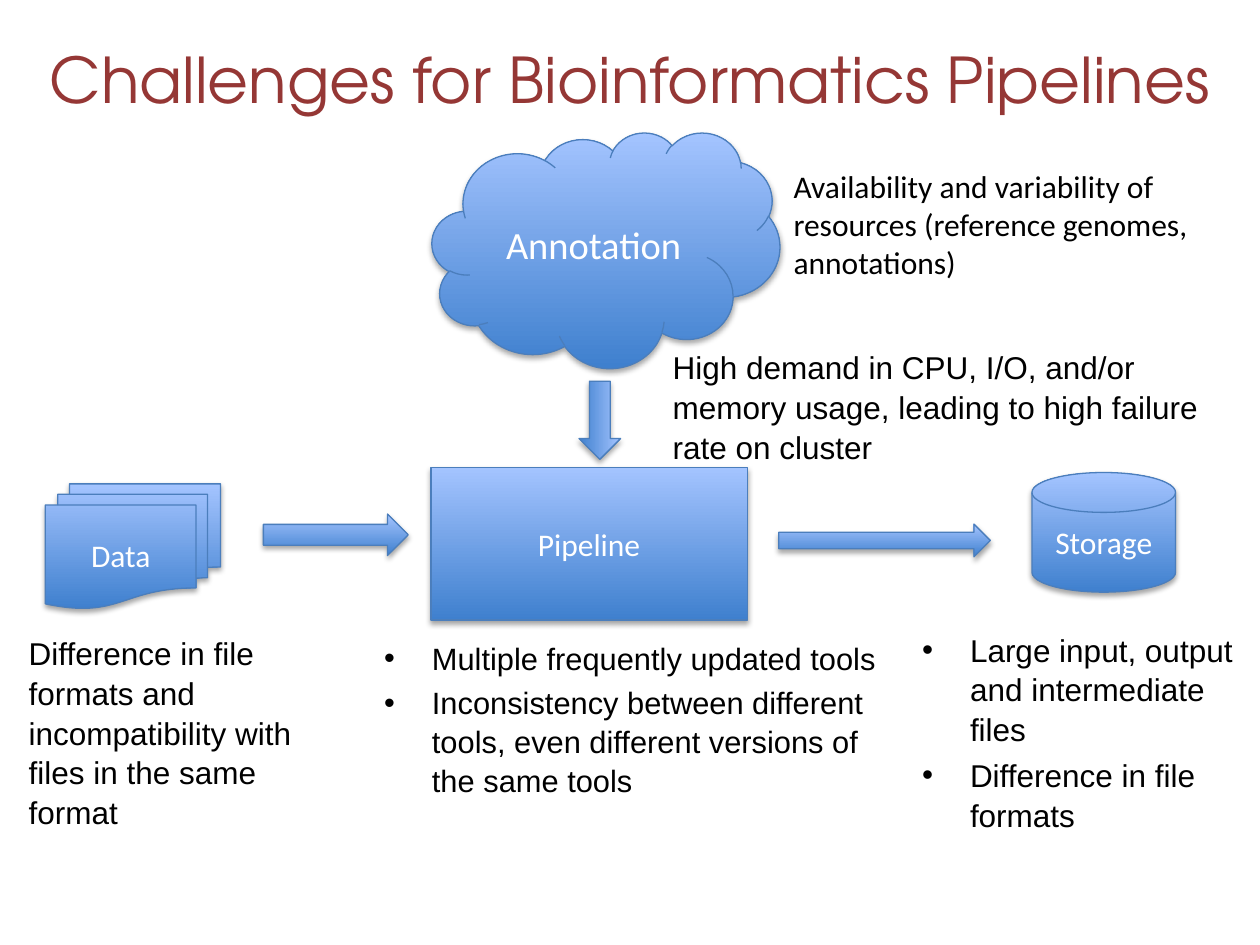
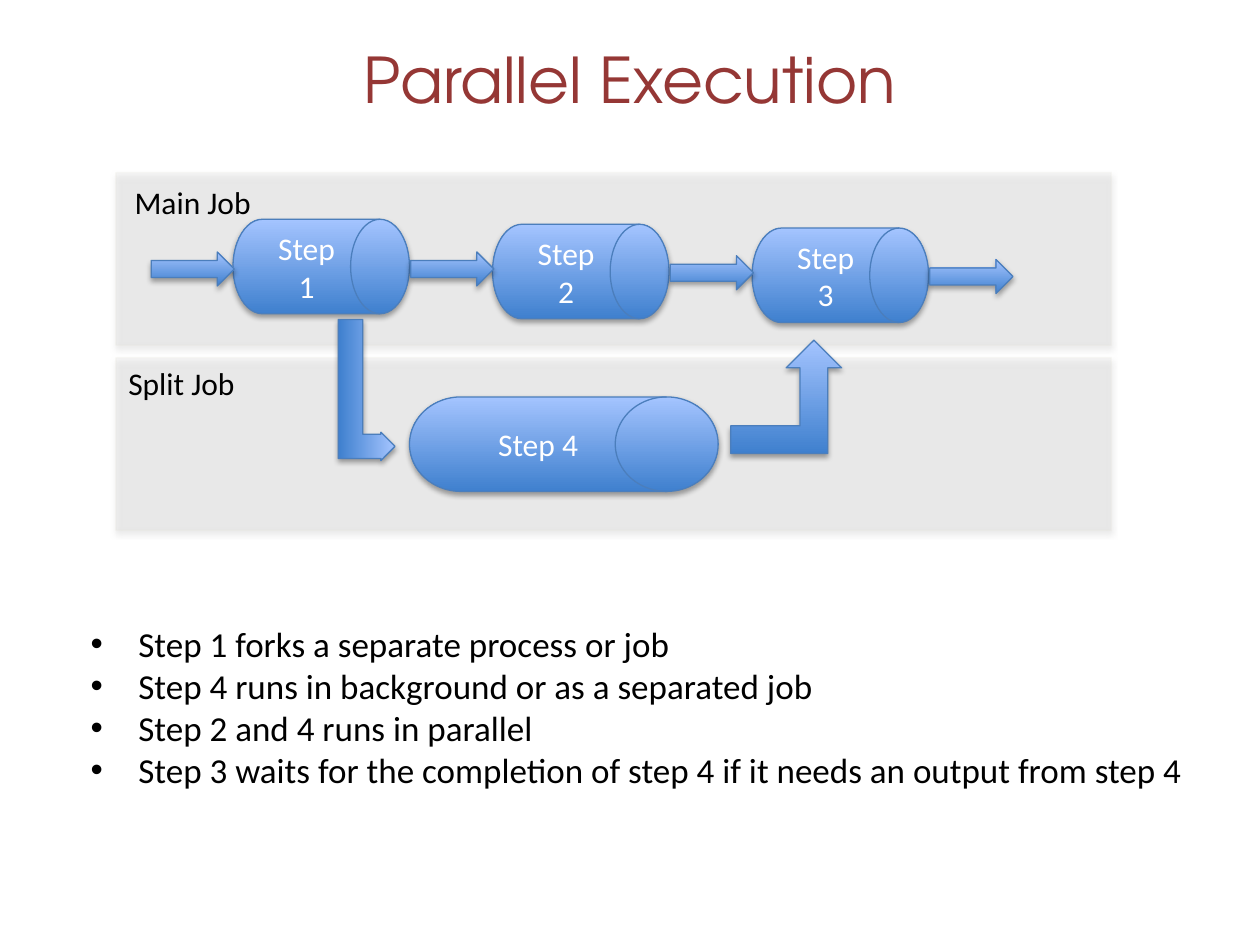
from lxml import etree
from pptx import Presentation
from pptx.dml.color import RGBColor
from pptx.enum.shapes import MSO_SHAPE
from pptx.enum.text import MSO_ANCHOR, PP_ALIGN
from pptx.oxml.ns import qn
from pptx.util import Inches, Pt

RIGHT_ARROW = MSO_SHAPE.RIGHT_ARROW
BENT_ARROW = MSO_SHAPE.BENT_UP_ARROW
DRUM = MSO_SHAPE.FLOWCHART_DIRECT_ACCESS_STORAGE
DISK = MSO_SHAPE.FLOWCHART_MAGNETIC_DISK
DOCUMENTS = MSO_SHAPE.FLOWCHART_MULTIDOCUMENT
PROCESS = MSO_SHAPE.FLOWCHART_PROCESS
CLOUD = MSO_SHAPE.CLOUD
RECTANGLE = MSO_SHAPE.RECTANGLE
MIDDLE = MSO_ANCHOR.MIDDLE
TOP = MSO_ANCHOR.TOP
LEFT = PP_ALIGN.LEFT
CENTER = PP_ALIGN.CENTER

TITLE_RED = RGBColor(0x95, 0x37, 0x35)
DARK_BLUE = RGBColor(0x3F, 0x80, 0xCE)
LIGHT_BLUE = RGBColor(0xA4, 0xC4, 0xFF)
EDGE_BLUE = RGBColor(0x4B, 0x7E, 0xBC)
LANE_GREY = RGBColor(0xD9, 0xD9, 0xD9)
LANE_EDGE = RGBColor(0xDD, 0xD9, 0xC3)
BLACK = RGBColor(0, 0, 0)
WHITE = RGBColor(0xFF, 0xFF, 0xFF)

TITLE_FONT = "TeX Gyre Adventor"
SANS = "Arial"
BODY = "Calibri"

# Places are (left, top, width, height) in inches.
CHALLENGES_TITLE = "Challenges for Bioinformatics Pipelines"
STAGES = [
    (DOCUMENTS, (0.36, 3.84, 1.39, 0.99), "Data", 18),
    (PROCESS, (3.42, 3.71, 2.51, 1.21), "Pipeline", 18),
    (CLOUD, (3.43, 1.05, 2.76, 1.87), "Annotation", 22),
    (DISK, (8.19, 3.75, 1.14, 0.95), "Storage", 18),
]
STAGE_ARROWS = [
    ((4.45, 3.17, 0.62, 0.33), 90),
    ((2.09, 4.08, 1.15, 0.33), 0),
    ((6.18, 4.16, 1.68, 0.26), 0),
]
# place, paragraphs, font, size, bulleted, space before in points
CHALLENGES = [
    ((5.24, 2.7, 4.78, 1.08),
     ["High demand in CPU, I/O, and/or memory usage, leading to high failure "
      "rate on cluster"], SANS, 18, False, 3.6),
    ((2.95, 5.01, 4.27, 1.14),
     ["Multiple frequently updated tools",
      "Inconsistency between different tools, even different versions of the "
      "same tools"], SANS, 17.6, True, 3.5),
    ((6.2, 1.28, 3.74, 1.01),
     ["Availability and variability of resources (reference genomes, "
      "annotations)"], BODY, 18, False, 0),
    ((0.13, 4.97, 2.66, 1.62),
     ["Difference in file formats and incompatibility with files in the same "
      "format"], SANS, 18, False, 0),
    ((7.22, 4.94, 2.78, 1.08),
     ["Large input, output and intermediate files",
      "Difference in file formats"], SANS, 18, True, 3.6),
]

PARALLEL_TITLE = "Parallel Execution"
LANE_TOPS = [1.37, 2.84]
LANE_LABELS = [("Main Job", 0.97, 1.4), ("Split Job", 0.92, 2.84)]
MAIN_STEPS = [("Step 1", 1.74), ("Step 2", 1.78), ("Step 3", 1.81)]
MAIN_ARROW_TOPS = [2, 2, 2.03, 2.06]
STEP_PITCH = 2.06
SPLIT_STEP = ("Step 4", (3.25, 3.15, 2.45, 0.75))
NOTES = [
    "Step 1 forks a separate process or job",
    "Step 4 runs in background or as a separated job",
    "Step 2 and 4 runs in parallel",
    "Step 3 waits for the completion of step 4 if it needs an output from step 4",
]


def inches(place):
    return [Inches(length) for length in place]


def add_child(parent, tag, **attributes):
    child = etree.SubElement(parent, qn(tag))
    for name, value in attributes.items():
        child.set(name, str(value))
    return child


def write(shape, lines, font, size, color, align=LEFT, anchor=TOP,
          bulleted=False, space_before=0):
    frame = shape.text_frame
    frame.word_wrap = True
    frame.vertical_anchor = anchor
    frame.text = "\n".join(lines)
    for para in frame.paragraphs:
        para.alignment = align
        para.space_before = Pt(space_before)
        if font == SANS:
            para.line_spacing = 1.05
        if bulleted:
            properties = para._p.get_or_add_pPr()
            properties.set("marL", str(Inches(0.38)))
            properties.set("indent", str(-Inches(0.38)))
            add_child(properties, "a:buFont", typeface=SANS)
            add_child(properties, "a:buChar", char="•")
        for span in para.runs:
            span.font.name = font
            span.font.size = Pt(size)
            span.font.color.rgb = color


def add_text(page, place, lines, font, size, color=BLACK, **layout):
    box = page.shapes.add_textbox(*inches(place))
    write(box, lines, font, size, color, **layout)


def add_shadowed(page, kind, place, edge):
    """Add a preset shape with a thin edge and a soft shadow below it."""
    shape = page.shapes.add_shape(kind, *inches(place))
    shape.line.color.rgb = edge
    shape.line.width = Pt(0.75)
    shape.shadow.inherit = False
    effects = shape._element.spPr.find(qn("a:effectLst"))
    shadow = add_child(effects, "a:outerShdw", blurRad=Pt(3.1), dist=Pt(1.8),
                       dir=5400000, rotWithShape=0)
    black = add_child(shadow, "a:srgbClr", val="000000")
    add_child(black, "a:alpha", val=35000)
    return shape


def add_blue(page, kind, place, text="", size=18, rotation=0):
    shape = add_shadowed(page, kind, place, EDGE_BLUE)
    shape.rotation = rotation
    shape.fill.gradient()
    shape.fill.gradient_angle = 90
    for stop, color in zip(shape.fill.gradient_stops, (DARK_BLUE, LIGHT_BLUE)):
        stop.color.rgb = color
    if text:
        write(shape, [text], BODY, size, WHITE, align=CENTER, anchor=MIDDLE)
    return shape


def add_lane(page, top):
    lane = add_shadowed(page, RECTANGLE, (0.92, top, 7.9, 1.37), LANE_EDGE)
    lane.fill.solid()
    lane.fill.fore_color.rgb = LANE_GREY
    properties = lane._element.spPr
    for holder, alpha in ((properties, 21000), (properties.ln, 11000)):
        color = holder.find(qn("a:solidFill")).find(qn("a:srgbClr"))
        add_child(color, "a:alpha", val=alpha)


def add_title(page, title):
    add_text(page, (0, 0, 10, 1.25), [title], TITLE_FONT, 36, TITLE_RED,
             align=CENTER, anchor=MIDDLE)


def build_challenges(page):
    add_title(page, CHALLENGES_TITLE)
    for kind, place, label, size in STAGES:
        add_blue(page, kind, place, label, size)
    for place, rotation in STAGE_ARROWS:
        add_blue(page, RIGHT_ARROW, place, rotation=rotation)
    for place, lines, font, size, bulleted, space in CHALLENGES:
        add_text(page, place, lines, font, size, bulleted=bulleted,
                 space_before=space)


def build_parallel(page):
    for top in LANE_TOPS:
        add_lane(page, top)
    add_title(page, PARALLEL_TITLE)
    for index, (label, top) in enumerate(MAIN_STEPS):
        add_blue(page, DRUM, (1.85 + index * STEP_PITCH, top, 1.4, 0.75), label)
    for index, top in enumerate(MAIN_ARROW_TOPS):
        add_blue(page, RIGHT_ARROW,
                 (1.2 + index * STEP_PITCH, top, 0.66, 0.27))
    label, place = SPLIT_STEP
    add_blue(page, DRUM, place, label)
    fork = add_blue(page, BENT_ARROW, (2.35, 2.87, 1.12, 0.45), rotation=90)
    fork.adjustments[0] = 0.43
    add_blue(page, BENT_ARROW, (5.8, 2.7, 0.88, 0.9))
    for label, left, top in LANE_LABELS:
        add_text(page, (left, top, 1.2, 0.4), [label], BODY, 18)
    add_text(page, (0.62, 4.89, 9.01, 1.45), NOTES, BODY, 20, bulleted=True)


def main():
    deck = Presentation()
    deck.slide_width = Inches(10)
    deck.slide_height = Inches(7.5)
    blank = deck.slide_layouts[6]
    for build in (build_challenges, build_parallel):
        build(deck.slides.add_slide(blank))
    deck.save("out.pptx")


if __name__ == "__main__":
    main()
